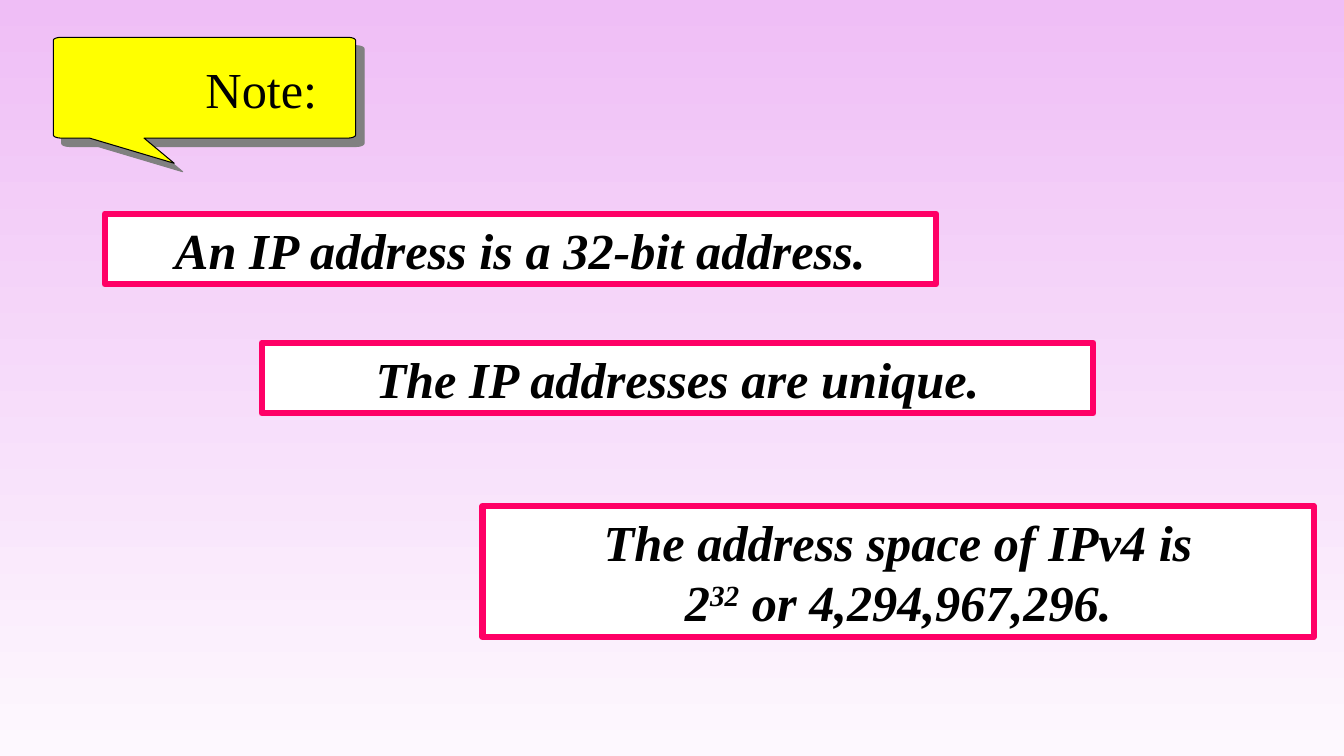
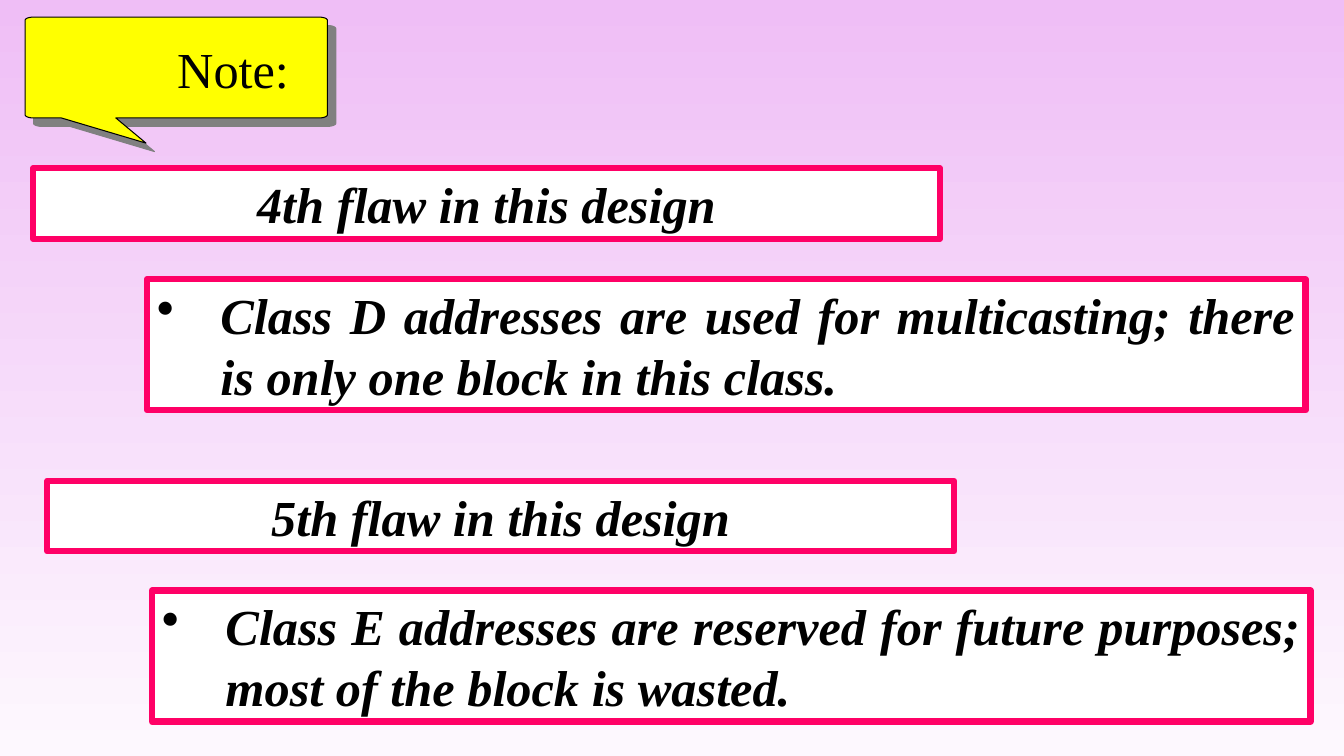
import math

from lxml import etree
from pptx import Presentation
from pptx.dml.color import RGBColor
from pptx.enum.shapes import MSO_SHAPE
from pptx.enum.text import MSO_ANCHOR, PP_ALIGN
from pptx.oxml import parse_xml
from pptx.oxml.ns import qn
from pptx.util import Inches, Pt

RECTANGLE = MSO_SHAPE.RECTANGLE
TOP = MSO_ANCHOR.TOP
LEFT, CENTER, JUSTIFY = PP_ALIGN.LEFT, PP_ALIGN.CENTER, PP_ALIGN.JUSTIFY

LILAC = RGBColor(0xEF, 0xBE, 0xF6)
PALE_LILAC = RGBColor(0xFD, 0xF8, 0xFE)
PINK = RGBColor(0xFF, 0x00, 0x66)
YELLOW = RGBColor(0xFF, 0xFF, 0x00)
WHITE = RGBColor(0xFF, 0xFF, 0xFF)
BLACK = RGBColor(0x00, 0x00, 0x00)

FONT = "Times New Roman"
HANGING_INDENT = Inches(0.63)
ONE_LINE, TWO_LINES = 0.7, 1.3

SHADOW_XML = (
    '<a:effectLst xmlns:a="http://schemas.openxmlformats.org/drawingml/2006/main">'
    '<a:outerShdw dist="107950" dir="2700000" algn="ctr" rotWithShape="0">'
    '<a:srgbClr val="808080"/></a:outerShdw></a:effectLst>'
)


def write_text(frame, text, align=LEFT, emphasis=False, bullet=False, wrap=True):
    """Fill the frame; parts of the text between ^ marks are superscript."""
    frame.word_wrap = wrap
    frame.vertical_anchor = TOP
    paragraph = frame.paragraphs[0]
    paragraph.alignment = align
    if bullet:
        props = paragraph._p.get_or_add_pPr()
        props.set("marL", str(HANGING_INDENT))
        props.set("indent", str(-HANGING_INDENT))
        etree.SubElement(props, qn("a:buChar")).set("char", "•")
    for index, part in enumerate(text.split("^")):
        run = paragraph.add_run()
        # A line break inside a run needs its own element
        lines = part.split("\n")
        for number, line in enumerate(lines):
            if number:
                paragraph.add_line_break()
                run = paragraph.add_run()
            run.text = line
            run.font.name = FONT
            run.font.size = Pt(36)
            run.font.bold = run.font.italic = emphasis
            run.font.color.rgb = BLACK
            if index % 2:
                run.font._element.set("baseline", "30000")


def add_note_callout(slide, left, top):
    width, height, corner_x, corner_y = 3, 1, 0.08, 0.03
    corners = [
        (width - corner_x, corner_y, 270),
        (width - corner_x, height - corner_y, 0),
        (corner_x, height - corner_y, 90),
        (corner_x, corner_y, 180),
    ]
    outline = []
    for center_x, center_y, start in corners:
        for step in range(0, 91, 15):
            angle = math.radians(start + step)
            outline.append((center_x + corner_x * math.cos(angle),
                            center_y + corner_y * math.sin(angle)))
        if start == 0:
            pointer_at = len(outline)
    outline[pointer_at:pointer_at] = [(0.9, height), (1.2, 1.25), (0.36, height)]
    points = [(Inches(left + x), Inches(top + y)) for x, y in outline]

    builder = slide.shapes.build_freeform(*points[0])
    builder.add_line_segments(points[1:], close=True)
    balloon = builder.convert_to_shape()
    balloon.fill.solid()
    balloon.fill.fore_color.rgb = YELLOW
    balloon.line.color.rgb = BLACK
    balloon.line.width = Pt(0.75)
    balloon._element.spPr.append(parse_xml(SHADOW_XML))

    label = slide.shapes.add_textbox(Inches(left + 1.41), Inches(top + 0.16),
                                     Inches(1.31), Inches(ONE_LINE))
    write_text(label.text_frame, "Note:", wrap=False)


# Each slide: callout position, then (left, top, width, height, text, bulleted)
SLIDES = [
    ((0.53, 0.37), [
        (1.04, 2.12, 8.25, ONE_LINE, "An IP address is a 32-bit address.", False),
        (2.6, 3.4, 8.25, ONE_LINE, "The IP addresses are unique.", False),
        (4.79, 5.02, 8.25, TWO_LINES,
         "The address space of IPv4 is\n2^32^ or 4,294,967,296.", False),
    ]),
    ((0.25, 0.17), [
        (0.33, 1.67, 9, ONE_LINE, "4th flaw in this design", False),
        (1.46, 2.77, 11.5, TWO_LINES,
         "Class D addresses are used for multicasting; "
         "there is only one block in this class.", True),
        (0.47, 4.77, 9, ONE_LINE, "5th flaw in this design", False),
        (1.51, 5.86, 11.5, TWO_LINES,
         "Class E addresses are reserved for future purposes; "
         "most of the block is wasted.", True),
    ]),
]

prs = Presentation()
prs.slide_width, prs.slide_height = Inches(13.34), Inches(7.5)
blank = prs.slide_layouts[6]

backdrop = prs.slide_master.background.fill
backdrop.gradient()
backdrop.gradient_angle = 270
for stop, position, color in zip(backdrop.gradient_stops, (0, 1), (LILAC, PALE_LILAC)):
    stop.position = position
    stop.color.rgb = color

for callout_place, statements in SLIDES:
    slide = prs.slides.add_slide(blank)
    add_note_callout(slide, *callout_place)
    for left, top, width, height, text, bulleted in statements:
        statement = slide.shapes.add_shape(RECTANGLE, Inches(left), Inches(top),
                                           Inches(width), Inches(height))
        statement.shadow.inherit = False
        statement.fill.solid()
        statement.fill.fore_color.rgb = WHITE
        statement.line.color.rgb = PINK
        statement.line.width = Pt(4.5)
        write_text(statement.text_frame, text, emphasis=True, bullet=bulleted,
                   align=JUSTIFY if bulleted else CENTER)

prs.save("out.pptx")
